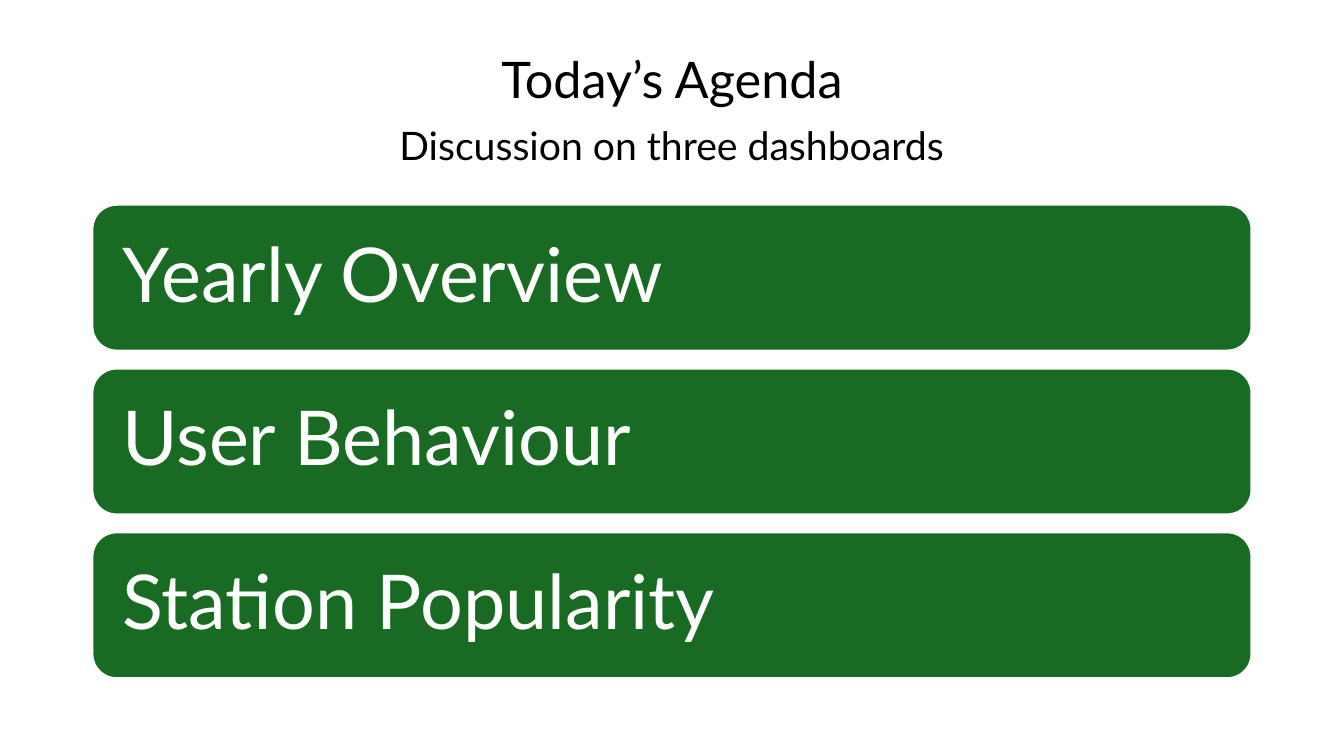
import pptx
import pptx.util
import pptx.dml.color
import pptx.enum.shapes
import pptx.enum.text
from dataclasses import dataclass

PX = 9525  # EMU per px, 96 px to the inch


@dataclass(frozen=True)
class Theme:
    font: str = "Lato"
    ink: str = "000000"
    paper: str = "FFFFFF"
    green: str = "196B24"
    title_size: int = 36
    subtitle_size: int = 28
    item_size: int = 54


theme = Theme()
ALIGN = pptx.enum.text.PP_ALIGN
ANCHOR = pptx.enum.text.MSO_ANCHOR


def rgb(value):
    return pptx.dml.color.RGBColor.from_string(value)


def write(sp, text, *, size, color, align, anchor, spacing=1.0, inset=None):
    """Put one formatted paragraph in a shape; inset is in px."""
    tf = sp.text_frame
    tf.word_wrap = True
    tf.auto_size = pptx.enum.text.MSO_AUTO_SIZE.NONE
    tf.vertical_anchor = anchor
    if inset is not None:
        tf.margin_left = tf.margin_right = inset * PX
        tf.margin_top = tf.margin_bottom = inset * PX
    p = tf.paragraphs[0]
    p.alignment = align
    p.line_spacing = spacing
    r = p.add_run()
    r.text = text
    r.font.name = theme.font
    r.font.size = pptx.util.Pt(size)
    r.font.color.rgb = rgb(color)


prs = pptx.Presentation()
prs.slide_width, prs.slide_height = 1280 * PX, 720 * PX
s = prs.slides.add_slide(prs.slide_layouts[5])
s.background.fill.solid()
s.background.fill.fore_color.rgb = rgb(theme.paper)

left, width = 88, 1104

title = s.shapes.title
title.left, title.top = left * PX, 19 * PX
title.width, title.height = width * PX, 119 * PX
write(title, "Today’s Agenda", size=theme.title_size, color=theme.ink,
      align=ALIGN.CENTER, anchor=ANCHOR.MIDDLE, spacing=0.9)

bar_top, bar_height, bar_gap = 195, 139, 17
for i, item in enumerate(["Yearly Overview", "User Behaviour", "Station Popularity"]):
    top = bar_top + i * (bar_height + bar_gap)
    bar = s.shapes.add_shape(pptx.enum.shapes.MSO_SHAPE.ROUNDED_RECTANGLE,
                             left * PX, top * PX, width * PX, bar_height * PX)
    bar.shadow.inherit = False
    bar.fill.solid()
    bar.fill.fore_color.rgb = rgb(theme.green)
    bar.line.color.rgb = rgb(theme.paper)
    bar.line.width = pptx.util.Pt(1.5)
    write(bar, item, size=theme.item_size, color=theme.paper,
          align=ALIGN.LEFT, anchor=ANCHOR.MIDDLE, spacing=0.9, inset=22)

subtitle = s.shapes.add_textbox(220 * PX, 111 * PX, 839 * PX, 55 * PX)
write(subtitle, "Discussion on three dashboards", size=theme.subtitle_size,
      color=theme.ink, align=ALIGN.CENTER, anchor=ANCHOR.TOP)

prs.save("out.pptx")
